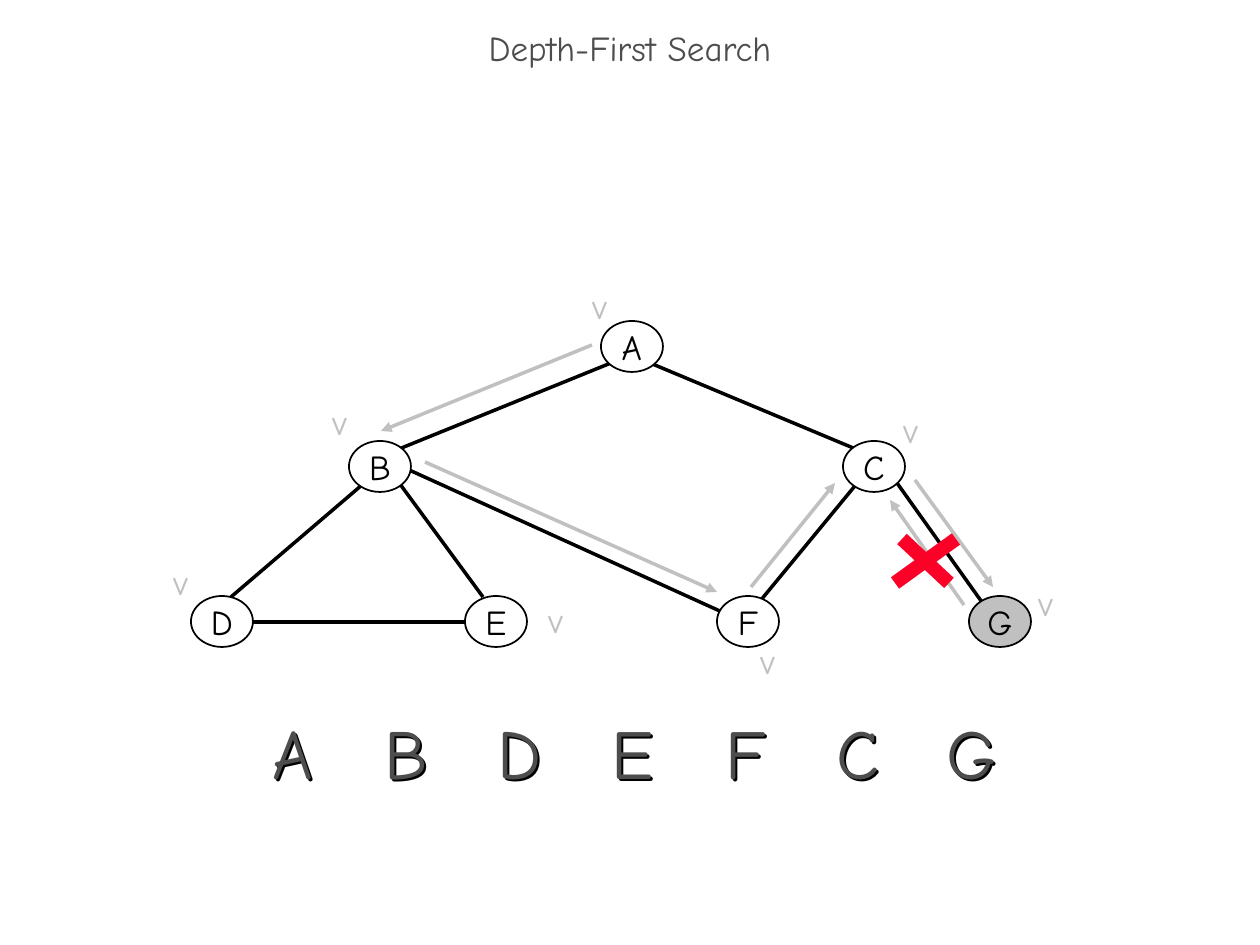
from lxml import etree
from pptx import Presentation
from pptx.dml.color import RGBColor
from pptx.enum.shapes import MSO_CONNECTOR, MSO_SHAPE
from pptx.enum.text import MSO_ANCHOR, PP_ALIGN
from pptx.oxml.ns import qn
from pptx.util import Emu, Pt

STRAIGHT = MSO_CONNECTOR.STRAIGHT
OVAL = MSO_SHAPE.OVAL
MIDDLE = MSO_ANCHOR.MIDDLE
CENTER, LEFT = PP_ALIGN.CENTER, PP_ALIGN.LEFT

BLACK = RGBColor(0x00, 0x00, 0x00)
WHITE = RGBColor(0xFF, 0xFF, 0xFF)
SILVER = RGBColor(0xC0, 0xC0, 0xC0)
DARK = RGBColor(0x4D, 0x4D, 0x4D)
RED = RGBColor(0xFC, 0x01, 0x28)

FONT = "Comic Neue"
EMU_PER_PX = 914400 / 126


def px(*values):
    return [Emu(round(value * EMU_PER_PX)) for value in values]


def write(shape, text, size, color, align):
    paragraph = shape.text_frame.paragraphs[0]
    paragraph.alignment = align
    run = paragraph.add_run()
    run.text = text
    run.font.name = FONT
    run.font.size = Pt(size)
    run.font.color.rgb = color
    return paragraph


presentation = Presentation()
presentation.slide_width, presentation.slide_height = px(1260, 945)
slide = presentation.slides.add_slide(presentation.slide_layouts[5])

# Title
title = slide.shapes.title
title.left, title.top, title.width, title.height = px(0, 21, 1260, 63)
title.text_frame.vertical_anchor = MIDDLE
write(title, "Depth-First Search", 20, DARK, CENTER).line_spacing = 0.7

# Lines: graph edges, traversal arrows, then the cross over the last step
edges = [
    (407, 469, 722, 612),  # B-F
    (249, 622, 476, 622),  # D-E
    (362, 485, 231, 597),  # B-D
    (859, 481, 761, 600),  # C-F
    (897, 483, 984, 605),  # C-G
    (397, 480, 483, 597),  # B-E
    (611, 363, 399, 449),  # A-B
    (650, 363, 858, 450),  # A-C
]
arrows = [
    (592, 345, 381, 431),  # A to B
    (425, 462, 717, 592),  # B to F
    (751, 587, 835, 483),  # F to C
    (915, 480, 993, 587),  # C to G
    (964, 605, 890, 500),  # G back to C
]
cross_strokes = [(902, 539, 949, 583), (956, 539, 895, 583)]

cross = slide.shapes.add_group_shape()
for parent, lines, color, width, has_arrow in [
    (slide, edges, BLACK, 2, False),
    (slide, arrows, SILVER, 2, True),
    (cross, cross_strokes, RED, 8, False),
]:
    for ends in lines:
        connector = parent.shapes.add_connector(STRAIGHT, *px(*ends))
        connector.line.color.rgb = color
        connector.line.width = Pt(width)
        if has_arrow:
            outline = connector.line._get_or_add_ln()
            etree.SubElement(outline, qn("a:tailEnd"), type="triangle")
        etree.SubElement(connector._element.spPr, qn("a:effectLst"))

# Nodes
nodes = {
    "A": (601, 321),
    "B": (349, 441),
    "C": (843, 441),
    "D": (191, 596),
    "E": (465, 596),
    "F": (717, 596),
    "G": (969, 596),
}
CURRENT_NODE = "G"
for name, (left, top) in nodes.items():
    node = slide.shapes.add_shape(OVAL, *px(left, top, 62, 51))
    node.shadow.inherit = False
    node.fill.solid()
    node.fill.fore_color.rgb = SILVER if name == CURRENT_NODE else WHITE
    node.line.color.rgb = BLACK
    node.line.width = Pt(1)
    frame = node.text_frame
    frame.margin_left = frame.margin_right = 0
    frame.margin_top = frame.margin_bottom = 0
    frame.word_wrap = False
    frame.vertical_anchor = MIDDLE
    write(node, name, 20, BLACK, CENTER)

# Visited marks
visited_marks = [(580, 278), (320, 394), (161, 554), (536, 592),
                 (748, 633), (891, 402), (1026, 575)]
for left, top in visited_marks:
    mark = slide.shapes.add_textbox(*px(left, top, 39, 54))
    mark.text_frame.word_wrap = False
    write(mark, "v", 20, SILVER, LEFT)

# Visit order, spaced by centred tab stops
VISIT_ORDER = "ABDEFCG"
FIRST_CENTER, PITCH = 21, 113
order_box = slide.shapes.add_textbox(*px(260, 703, 748, 96))
order_box.text_frame.word_wrap = True
order_box.text_frame.margin_right = 0
properties = order_box.text_frame.paragraphs[0]._p.get_or_add_pPr()
tab_list = etree.SubElement(properties, qn("a:tabLst"))
for index in range(1, len(VISIT_ORDER)):
    position, = px(FIRST_CENTER + index * PITCH)
    etree.SubElement(tab_list, qn("a:tab"), pos=str(position), algn="ctr")
write(order_box, "\t".join(VISIT_ORDER), 40, DARK, LEFT)

# Black shadow behind the visit order letters
effects = etree.SubElement(order_box._element.spPr, qn("a:effectLst"))
shadow = etree.SubElement(effects, qn("a:outerShdw"), dist="20000", dir="2700000")
etree.SubElement(shadow, qn("a:srgbClr"), val=str(BLACK))

# Bring the cross to the front
slide.shapes._spTree.append(cross._element)

presentation.save("out.pptx")
